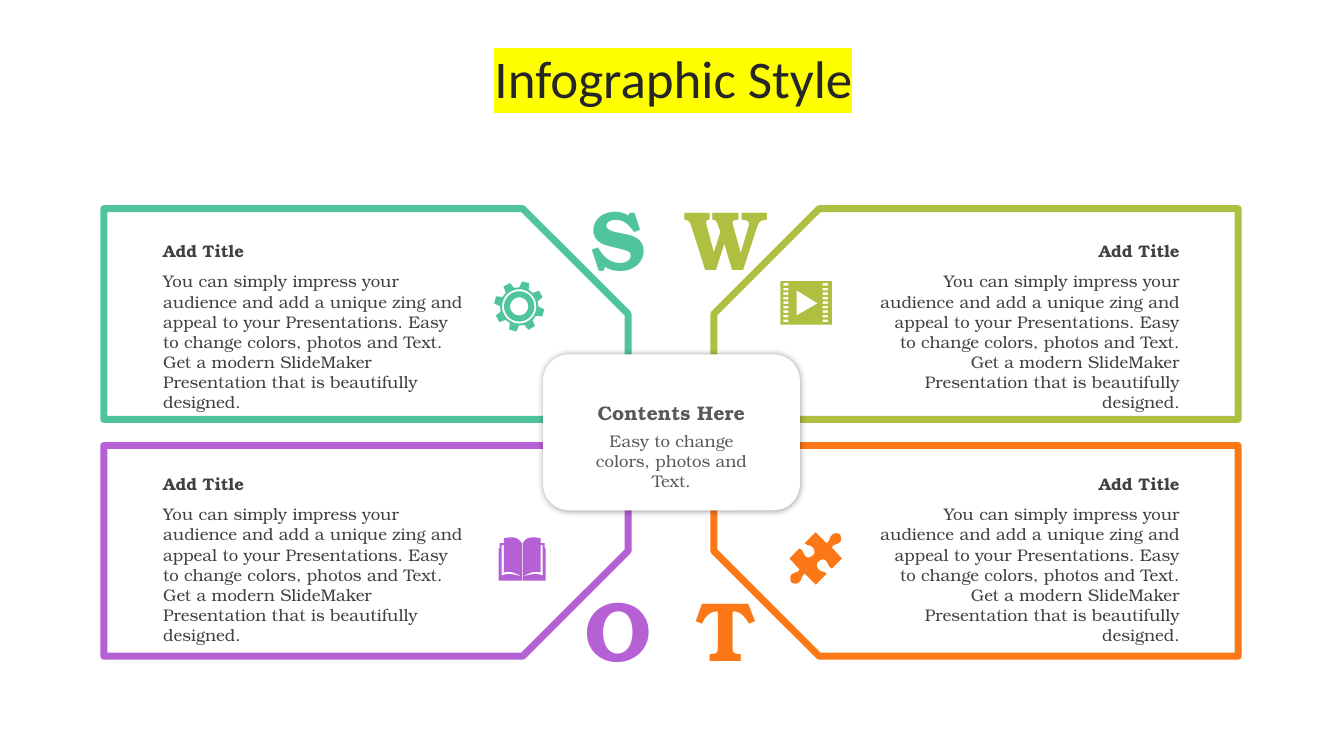
from math import cos, radians, sin

from lxml.etree import SubElement
from pptx import Presentation
from pptx.dml.color import RGBColor
from pptx.enum.shapes import MSO_SHAPE
from pptx.enum.text import MSO_ANCHOR, PP_ALIGN
from pptx.oxml.ns import qn
from pptx.util import Inches, Pt

THEME = {
    "title_font": "Calibri", "font": "TeX Gyre Bonum",
    "title_size": 37.8, "letter_size": 60, "heading_size": 14, "text_size": 12,
    "ink": "262626", "text": "404040", "hub_text": "595959",
    "highlight": "FFFF00", "paper": "FFFFFF", "shadow": "000000",
    "S": "50C49F", "W": "AFBF41", "O": "B560D4", "T": "FC7715",
}
BODY = ("You can simply impress your audience and add a unique zing and appeal "
        "to your Presentations. Easy to change colors, photos and Text. Get a "
        "modern SlideMaker Presentation that is beautifully designed.")

deck = Presentation()
deck.slide_width, deck.slide_height = Inches(13.33), Inches(7.5)
page = deck.slides.add_slide(deck.slide_layouts[5])


def write(place, text, size, color, bold=False, align=PP_ALIGN.LEFT,
          anchor=MSO_ANCHOR.TOP, font=THEME["font"], box=None):
    """Put one formatted run in a box at (left, top, width, height) inches."""
    left, top, width, height = map(Inches, place)
    box = box or page.shapes.add_textbox(left, top, width, height)
    box.left, box.top, box.width, box.height = left, top, width, height
    box.text_frame.word_wrap = True
    box.text_frame.vertical_anchor = anchor
    para = box.text_frame.paragraphs[0]
    para.alignment = align
    span = para.add_run()
    span.text = text
    span.font.size, span.font.bold, span.font.name = Pt(size), bold, font
    span.font.color.rgb = RGBColor.from_string(color)
    return span


def draw_icon(contours, color):
    """Fill contours of points; a step of six numbers is a Bezier curve."""
    builder = None
    for start, *steps in contours:
        x, y = start
        points = []
        for step in steps:
            if len(step) == 6:
                a, b, c, d, end_x, end_y = step
                for t in (0.2, 0.4, 0.6, 0.8, 1):
                    u = 1 - t
                    weights = u ** 3, 3 * u * u * t, 3 * u * t * t, t ** 3
                    points.append((sum(w * v for w, v in zip(weights, (x, a, c, end_x))),
                                   sum(w * v for w, v in zip(weights, (y, b, d, end_y)))))
            else:
                points.append(step)
            x, y = points[-1]
        if builder is None:
            builder = page.shapes.build_freeform(Inches(start[0]), Inches(start[1]), scale=1)
        else:
            builder.move_to(Inches(start[0]), Inches(start[1]))
        builder.add_line_segments([(Inches(px), Inches(py)) for px, py in points])
    icon = builder.convert_to_shape()
    icon.shadow.inherit = False
    icon.fill.solid()
    icon.fill.fore_color.rgb = RGBColor.from_string(color)
    icon.line.fill.background()


# Title with highlighter
title = write((0.35, 0.37, 12.66, 0.79), "Infographic Style", THEME["title_size"],
              THEME["ink"], align=PP_ALIGN.CENTER, anchor=MSO_ANCHOR.MIDDLE,
              font=THEME["title_font"], box=page.shapes.title)
marker = SubElement(title.font.fill._xPr, qn("a:highlight"))
SubElement(marker, qn("a:srgbClr")).set("val", THEME["highlight"])
marker.getparent().find(qn("a:solidFill")).addnext(marker)

# Four panels, the snipped corner turned to the middle
quadrants = [(letter, index % 2, index // 2) for index, letter in enumerate("SWOT")]
for letter, column, row in quadrants:
    panel = page.shapes.add_shape(
        MSO_SHAPE.SNIP_1_RECTANGLE, Inches(1.03 + 6.05 * column),
        Inches(2.07 + 2.35 * row), Inches(5.2), Inches(2.09))
    panel.adjustments[0] = 0.5
    panel.shadow.inherit = False
    panel.fill.solid()
    panel.fill.fore_color.rgb = RGBColor.from_string(THEME["paper"])
    panel.line.color.rgb = RGBColor.from_string(THEME[letter])
    panel.line.width = Pt(5)
    properties = panel.element.spPr
    SubElement(properties.find(qn("a:ln")), qn("a:round"))
    properties.find(qn("a:xfrm")).set("flipH", str(column))
    properties.find(qn("a:xfrm")).set("flipV", str(row))

# Hub with soft shadow
hub = page.shapes.add_shape(MSO_SHAPE.ROUNDED_RECTANGLE, Inches(5.39), Inches(3.52),
                            Inches(2.54), Inches(1.54))
hub.fill.solid()
hub.fill.fore_color.rgb = RGBColor.from_string(THEME["paper"])
hub.line.color.rgb = RGBColor.from_string(THEME["paper"])
hub.line.width = Pt(0.5)
hub.shadow.inherit = False
glow = SubElement(hub.element.spPr.find(qn("a:effectLst")), qn("a:outerShdw"),
                  blurRad=str(Pt(5)), dist="0", dir="0", algn="ctr", rotWithShape="0")
shade = SubElement(glow, qn("a:srgbClr"), val=THEME["shadow"])
SubElement(shade, qn("a:alpha"), val="40000")
write((5.74, 3.93, 1.84, 0.28), "Contents Here", THEME["heading_size"],
      THEME["hub_text"], bold=True, align=PP_ALIGN.CENTER)
write((5.74, 4.22, 1.84, 0.43), "Easy to change colors, photos and Text.",
      THEME["text_size"], THEME["hub_text"], align=PP_ALIGN.CENTER)

# Letters, headings and body texts
for letter, column, row in quadrants:
    write((5.59 + 1.07 * column, 1.79 + 3.88 * row, 1.08, 1.11), letter,
          THEME["letter_size"], THEME[letter], bold=True, align=PP_ALIGN.CENTER,
          anchor=MSO_ANCHOR.MIDDLE)
    side = PP_ALIGN.RIGHT if column else PP_ALIGN.LEFT
    left, top = 1.52 + 7.07 * column, 2.34 + 2.31 * row
    write((left, top, 3.21, 0.3), "Add Title", THEME["text_size"], THEME["text"],
          bold=True, align=side)
    write((left, top + 0.3, 3.21, 1.31), BODY, THEME["text_size"], THEME["text"], align=side)

# Gear: eight teeth and three rings, as (angle, radius) around the centre
teeth = [(15 + 45 * tooth + turn, radius) for tooth in range(8)
         for turn, radius in ((-14.5, 0.19), (-8.5, 0.25), (8.5, 0.25), (14.5, 0.19))]
rings = [[(angle, radius) for angle in range(0, 361, 10)] for radius in (0.17, 0.15, 0.09)]
draw_icon([[(5.15 + r * sin(radians(a)), 3.04 - r * cos(radians(a))) for a, r in contour]
           for contour in [teeth + teeth[:1], *rings]], THEME["S"])

# Film: frame, two columns of nine holes, play mark
frames = [(7.74, 2.79, 0.51, 0.43)]
frames += [(x, 2.81 + 0.045 * hole, 0.05, 0.025) for x in (7.77, 8.16) for hole in range(9)]
film = [[(x, y), (x + w, y), (x + w, y + h), (x, y + h), (x, y)] for x, y, w, h in frames]
draw_icon(film + [[(7.9, 2.88), (7.9, 3.13), (8.11, 3.01), (7.9, 2.88)]], THEME["W"])

# Book: each half is a cover with a gap under the page, mirrored at the spine
SPINE = 5.18
book_half = [
    [(0, 0.06), (-0.04, 0, -0.08, -0.01, -0.18, 0.01), (-0.18, 0.06), (-0.22, 0.06),
     (-0.22, 0.11), (-0.23, 0.11), (-0.23, 0.43), (0, 0.43), (0, 0.06)],
    [(-0.2, 0.08), (-0.2, 0.38), (-0.13, 0.35, -0.08, 0.37, 0, 0.39),
     (-0.07, 0.35, -0.13, 0.33, -0.18, 0.35), (-0.18, 0.08), (-0.2, 0.08)],
]
draw_icon([[tuple(5.33 + v if i % 2 else SPINE + side * (v - 0.003) for i, v in enumerate(step))
            for step in contour] for side in (1, -1) for contour in book_half], THEME["O"])

# Puzzle piece: half an outline, turned half a circle about the centre
puzzle_half = [
    (0.24, -0.24), (0.25, -0.22, 0.26, -0.18, 0.24, -0.16),
    (0.21, -0.13, 0.18, -0.15, 0.16, -0.11), (0.26, 0), (0.16, 0.1),
    (0.12, 0.08, 0.13, 0.05, 0.1, 0.02), (0.08, 0, 0.05, 0.01, 0.03, 0.03),
    (0.01, 0.04, 0, 0.08, 0.03, 0.11), (0.06, 0.14, 0.07, 0.12, 0.11, 0.15),
    (0, 0.26), (-0.11, 0.15), (-0.15, 0.19, -0.13, 0.2, -0.16, 0.23),
    (-0.18, 0.26, -0.22, 0.25, -0.24, 0.24),
]
draw_icon([[tuple((5.54 if i % 2 else 8.09) + turn * v for i, v in enumerate(step))
            for turn in (1, -1) for step in puzzle_half[turn < 0:]]], THEME["T"])

deck.save("out.pptx")
